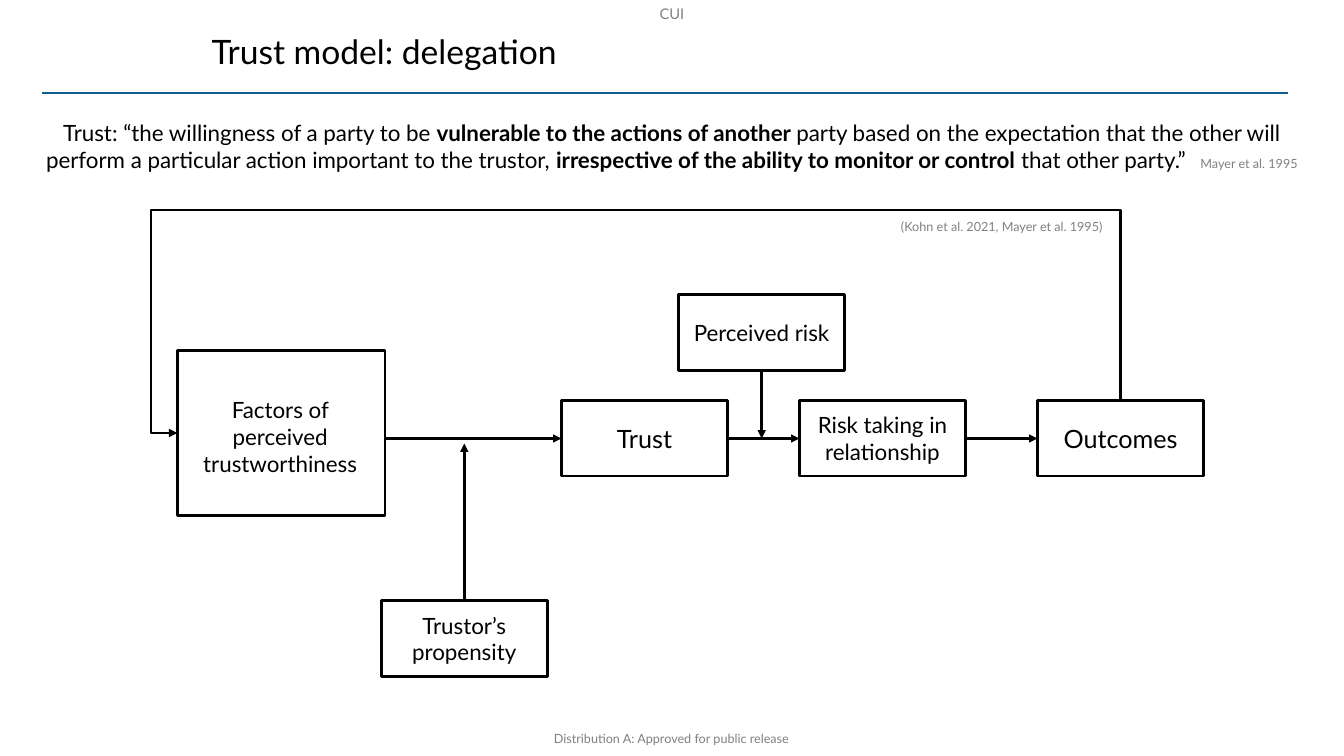
"""Build the trust model slide on delegation."""
from dataclasses import dataclass

from lxml import etree
from pptx import Presentation
from pptx.dml.color import RGBColor
from pptx.enum.shapes import MSO_CONNECTOR, MSO_SHAPE
from pptx.enum.text import MSO_ANCHOR, PP_ALIGN
from pptx.oxml.ns import qn
from pptx.util import Pt

LEFT, CENTER = PP_ALIGN.LEFT, PP_ALIGN.CENTER
TOP, MIDDLE = MSO_ANCHOR.TOP, MSO_ANCHOR.MIDDLE
RECT, STRAIGHT = MSO_SHAPE.RECTANGLE, MSO_CONNECTOR.STRAIGHT


@dataclass(frozen=True)
class Theme:
    font: str = "Lato"
    ink: str = "000000"
    paper: str = "FFFFFF"
    gray: str = "808080"
    blue: str = "0F5E90"
    title: float = 24
    large: float = 18
    body: float = 16
    mark: float = 10.5
    small: float = 9
    edge: float = 2
    wire: float = 1.75


@dataclass(frozen=True)
class Run:
    text: str
    bold: bool = False
    size: float = 0
    color: str = ""
    gap: float = 0


@dataclass(frozen=True)
class Box:
    x: float
    y: float
    text: str = ""
    size: float = 16
    w: float = 118.8
    h: float = 54
    solid: bool = True


@dataclass(frozen=True)
class Label:
    x: float
    y: float
    w: float
    h: float
    runs: tuple[Run, ...]
    size: float
    color: str
    align: PP_ALIGN = CENTER
    anchor: MSO_ANCHOR = TOP
    wrap: bool = True


@dataclass(frozen=True)
class Wire:
    x1: float
    y1: float
    x2: float
    y2: float
    color: str = "000000"
    head: bool = True


THEME = Theme()
MID, ROW = 313.2, 286
TRUST, STEP, WIDE = 401, 170, 118.8
RISK, END = TRUST + STEP, TRUST + 2 * STEP
FACTOR, EDGE = 126.7, 275

BOXES = (
    Box(TRUST, ROW, "Trust", THEME.large),
    Box(END, ROW, "Outcomes", THEME.large),
    Box(272.2, 429.1, "Trustor’s propensity"),
    Box(484.6, 210.4, "Perceived risk"),
    Box(RISK, ROW, "Risk taking in relationship"),
    Box(FACTOR, 250.6, w=148.3, h=117.4, solid=False),
)
WIRES = (
    Wire(30.2, 66.5, 920.2, 66.5, THEME.blue, False),
    Wire(EDGE, MID, TRUST, MID),
    Wire(TRUST + WIDE, MID, RISK, MID),
    Wire(RISK + WIDE, MID, END, MID),
    Wire(544.1, 264.6, 544.1, MID),
    Wire(331.7, 429.1, 331.7, 316.8),
)
LOOP = ((END + WIDE / 2, ROW), (END + WIDE / 2, 150), (108, 150), (108, 309.3), (FACTOR, 309.3))
QUOTE = (
    Run("Trust: “the willingness of a party to be "),
    Run("vulnerable to the actions of another ", bold=True),
    Run("party based on the expectation that the other will perform "
        "a particular action important to the trustor, "),
    Run("irrespective of the ability to monitor or control", bold=True),
    Run(" that other party.”"),
    Run(" ", gap=6.2),
    Run("Mayer et al. 1995", size=THEME.small, color=THEME.gray),
)
LABELS = (
    Label(144, 12.2, 776.2, 48.2, (Run("Trust model: delegation"),),
          THEME.title, THEME.ink, LEFT, MIDDLE),
    Label(636.5, 152.6, 163.4, 18, (Run("(Kohn et al. 2021, Mayer et al. 1995)"),),
          THEME.small, THEME.gray, LEFT, wrap=False),
    Label(126, 279.4, 148.3, 65.5, (Run("Factors of perceived trustworthiness"),),
          THEME.body, THEME.ink),
    Label(16.6, 81.4, 926.6, 56.9, QUOTE, THEME.body, THEME.ink),
    Label(0, 0, 960, 18.7, (Run("CUI"),), THEME.mark, THEME.gray),
    Label(139.7, 515.5, 679.7, 23.8, (Run("Distribution A: Approved for public release"),),
          THEME.small, THEME.gray, anchor=MIDDLE),
)


def write(frame, runs: tuple[Run, ...], *, size: float, color: str,
          align: PP_ALIGN = CENTER, anchor: MSO_ANCHOR = MIDDLE, wrap: bool = True) -> None:
    frame.word_wrap = wrap
    frame.vertical_anchor = anchor
    para = frame.paragraphs[0]
    para.alignment = align
    for part in runs:
        run = para.add_run()
        run.text = part.text
        run.font.name = THEME.font
        run.font.size = Pt(part.size or size)
        run.font.bold = part.bold
        run.font.color.rgb = RGBColor.from_string(part.color or color)
        if part.gap:
            run.font._element.set("spc", str(int(part.gap * 100)))


def stroke(line, color: str, width: float, head: bool = False) -> None:
    line.color.rgb = RGBColor.from_string(color)
    line.width = Pt(width)
    if head:
        etree.SubElement(line._get_or_add_ln(), qn("a:tailEnd"), type="triangle")


def draw_box(shapes, box: Box) -> None:
    shape = shapes.add_shape(RECT, Pt(box.x), Pt(box.y), Pt(box.w), Pt(box.h))
    shape.shadow.inherit = False
    if box.solid:
        shape.fill.solid()
        shape.fill.fore_color.rgb = RGBColor.from_string(THEME.paper)
    else:
        shape.fill.background()
    stroke(shape.line, THEME.ink, THEME.edge)
    if box.text:
        write(shape.text_frame, (Run(box.text),), size=box.size, color=THEME.ink)


def draw_wire(shapes, wire: Wire) -> None:
    line = shapes.add_connector(STRAIGHT, Pt(wire.x1), Pt(wire.y1), Pt(wire.x2), Pt(wire.y2))
    stroke(line.line, wire.color, THEME.wire, wire.head)
    etree.SubElement(line._element.spPr, qn("a:effectLst"))


def draw_loop(shapes, points: tuple[tuple[float, float], ...]) -> None:
    first, *rest = [(Pt(x), Pt(y)) for x, y in points]
    form = shapes.build_freeform(*first)
    form.add_line_segments(rest, close=False)
    shape = form.convert_to_shape()
    shape.shadow.inherit = False
    shape.fill.background()
    stroke(shape.line, THEME.ink, THEME.wire, True)


def draw_label(shapes, label: Label) -> None:
    text = shapes.add_textbox(Pt(label.x), Pt(label.y), Pt(label.w), Pt(label.h))
    write(text.text_frame, label.runs, size=label.size, color=label.color,
          align=label.align, anchor=label.anchor, wrap=label.wrap)


def main() -> None:
    deck = Presentation()
    deck.slide_width, deck.slide_height = Pt(960), Pt(540)
    shapes = deck.slides.add_slide(deck.slide_layouts[6]).shapes
    for box in BOXES:
        draw_box(shapes, box)
    draw_loop(shapes, LOOP)
    for wire in WIRES:
        draw_wire(shapes, wire)
    for label in LABELS:
        draw_label(shapes, label)
    deck.save("out.pptx")


if __name__ == "__main__":
    main()
